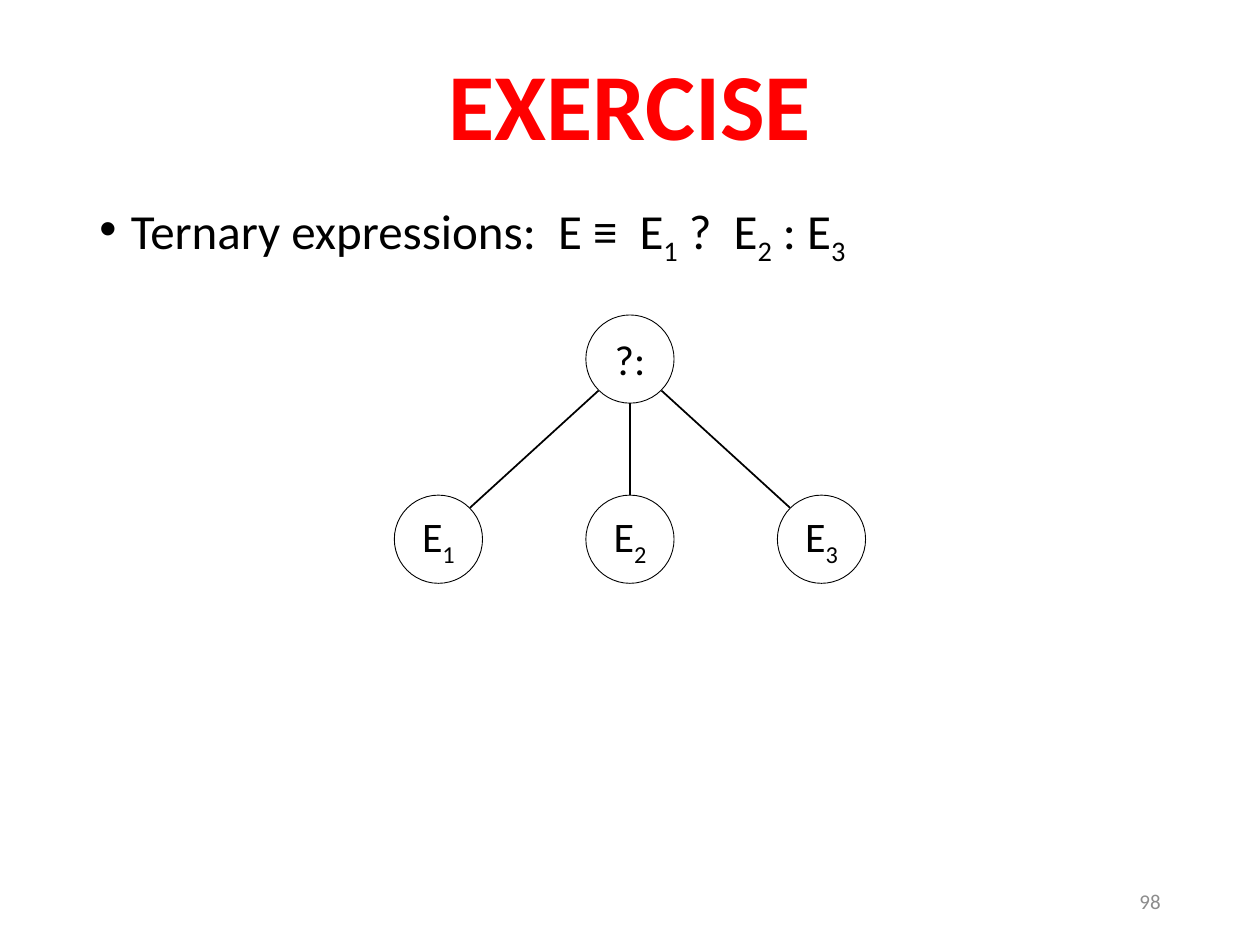
"""Build the exercise slide with the tree of a ternary expression."""
from lxml.etree import SubElement
from pptx import Presentation
from pptx.dml.color import RGBColor
from pptx.enum.shapes import MSO_CONNECTOR as Link, MSO_SHAPE as Form
from pptx.enum.text import MSO_ANCHOR as Anchor, PP_ALIGN as Align
from pptx.oxml.ns import qn
from pptx.util import Inches, Pt


def color(code):
    return RGBColor.from_string(code)


def write(shape, parts, size, align=Align.CENTER, anchor=Anchor.MIDDLE, ink="000000", bold=False):
    """Write parts that are plain and subscript by turns."""
    frame = shape.text_frame
    frame.word_wrap = True
    frame.vertical_anchor = anchor
    para = frame.paragraphs[0]
    para.alignment = align
    for i, part in enumerate(parts):
        run = para.add_run()
        run.text = part
        font = run.font
        font.name = "Calibri"
        font.size = Pt(size)
        font.bold = bold
        font.color.rgb = color(ink)
        if i % 2:
            font._element.set("baseline", "-25000")
    return para


deck = Presentation()
deck.slide_width = Inches(10)
deck.slide_height = Inches(7.5)
slide = deck.slides.add_slide(deck.slide_layouts[6])
shapes = slide.shapes

body = shapes.add_textbox(Inches(0.69), Inches(1.55), Inches(8.62), Inches(0.75))
terms = ["Ternary expressions:  E ≡  E", "1", " ?  E", "2", " : E", "3"]
para = write(body, terms, 28, Align.LEFT, Anchor.TOP)
para.line_spacing = 0.9
props = para._p.get_or_add_pPr()
props.set("marL", str(Inches(0.25)))
props.set("indent", str(-Inches(0.25)))
SubElement(props, qn("a:buFont")).set("typeface", "Arial")
SubElement(props, qn("a:buChar")).set("char", "•")

number = shapes.add_textbox(Inches(7.06), Inches(6.95), Inches(2.25), Inches(0.4))
write(number, ["98"], 12, Align.RIGHT, ink="8C8C8C")

title = shapes.add_textbox(Inches(0.69), Inches(0.4), Inches(8.62), Inches(0.95))
write(title, ["EXERCISE"], 54, ink="FF0000", bold=True).line_spacing = 0.9

size, mid, gap, top, low = 0.7, 5, 1.52, 2.5, 3.93
nodes = [(mid, top, ["?:"])]
nodes += [(mid + gap * (i - 2), low, ["E", str(i)]) for i in (1, 2, 3)]
for x, y, label in nodes:
    node = shapes.add_shape(
        Form.OVAL, Inches(x - size / 2), Inches(y), Inches(size), Inches(size))
    node.shadow.inherit = False
    node.fill.background()
    node.line.color.rgb = color("000000")
    node.line.width = Pt(0.5)
    frame = node.text_frame
    frame.margin_left = frame.margin_right = 0
    write(node, label, 24)

for side in (-1, 0, 1):
    inset = 0.1 if side else 0
    shift = side * 0.25
    edge = shapes.add_connector(
        Link.STRAIGHT,
        Inches(mid + shift), Inches(top + size - inset),
        Inches(mid + side * gap - shift), Inches(low + inset))
    edge.line.color.rgb = color("000000")
    edge.line.width = Pt(1)
    SubElement(edge._element.spPr, qn("a:effectLst"))

deck.save("out.pptx")
